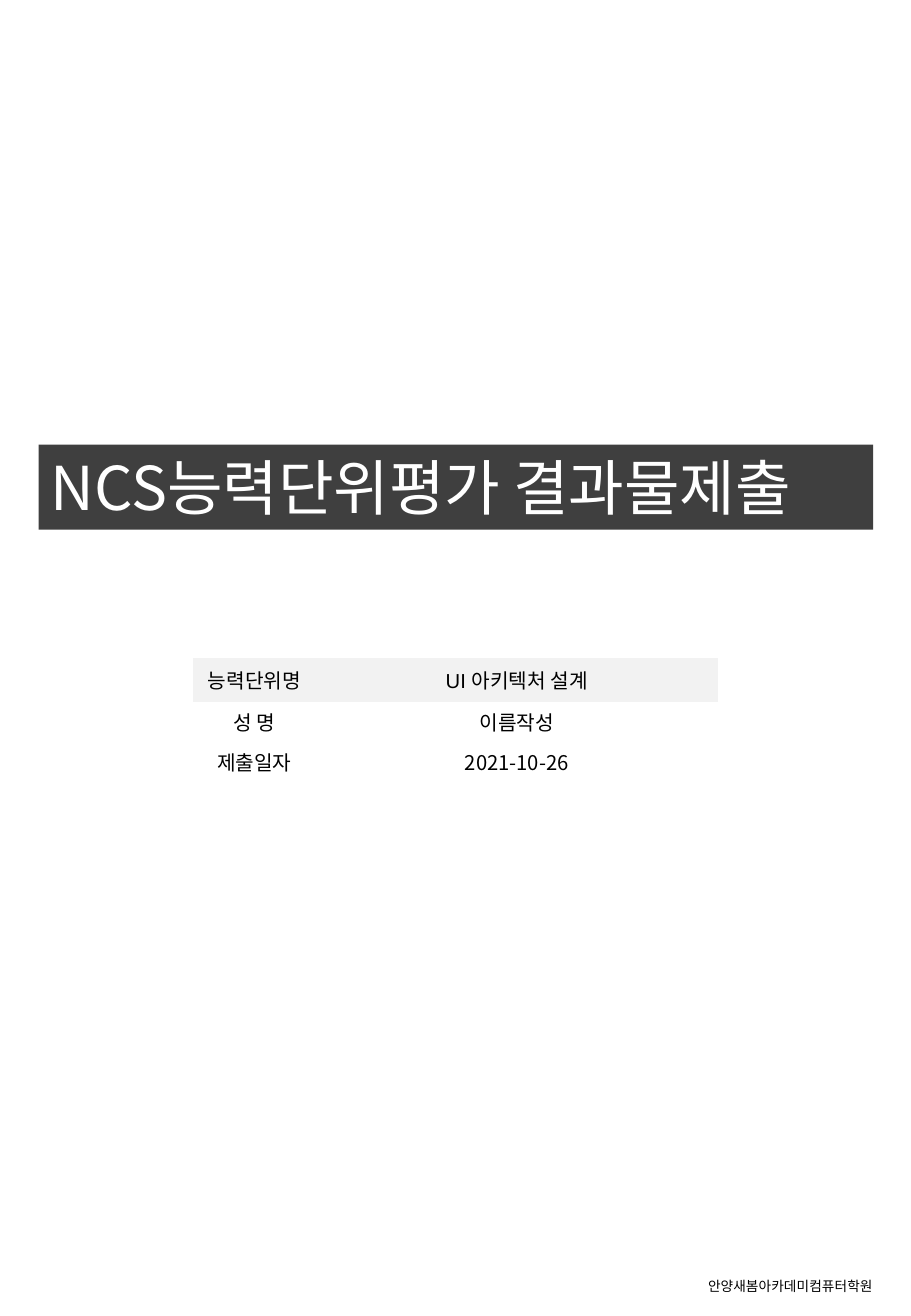
from dataclasses import dataclass

from lxml import etree
from pptx import Presentation
from pptx import util as u
from pptx.dml.color import RGBColor
from pptx.enum import shapes, text
from pptx.oxml import ns


@dataclass(frozen=True)
class Theme:
    ink: str = "000000"
    paper: str = "FFFFFF"
    banner: str = "3F3F3F"
    header: str = "F2F2F2"
    korean: str = "Noto Sans CJK KR"
    latin: str = "Arial"
    title_size: float = 35.8
    table_size: float = 12
    footer_size: float = 8.1


class Cover:
    def __init__(self, page, theme):
        self.page = page
        self.theme = theme

    def label(self, frame, words, size, color, font, align=text.PP_ALIGN.LEFT):
        frame.word_wrap = True
        para = frame.paragraphs[0]
        para.text = words
        para.alignment = align
        para.font.size = u.Pt(size)
        para.font.color.rgb = RGBColor.from_string(color)
        para.font.name = font
        properties = para._p.pPr.find(ns.qn("a:defRPr"))
        etree.SubElement(properties, ns.qn("a:ea"), typeface=self.theme.korean)

    def paint(self, item, color):
        item.fill.solid()
        item.fill.fore_color.rgb = RGBColor.from_string(color)

    def banner(self, words, *bounds):
        box = self.page.shapes.add_shape(
            shapes.MSO_SHAPE.RECTANGLE, *map(u.Pt, bounds))
        box.shadow.inherit = False
        box.line.fill.background()
        self.paint(box, self.theme.banner)
        box.text_frame.vertical_anchor = text.MSO_ANCHOR.TOP
        self.label(box.text_frame, words, self.theme.title_size,
                   self.theme.paper, self.theme.korean)

    def footer(self, words, *bounds):
        box = self.page.shapes.add_textbox(*map(u.Pt, bounds))
        self.label(box.text_frame, words, self.theme.footer_size,
                   self.theme.ink, self.theme.korean)

    def table(self, rows, left, top, widths, heights):
        bounds = left, top, sum(widths), sum(heights)
        table = self.page.shapes.add_table(
            len(rows), len(widths), *map(u.Pt, bounds)).table
        table.horz_banding = False
        style = table._tbl.tblPr.find(ns.qn("a:tableStyleId"))
        style.text = "{2D5ABB26-0587-4C30-8999-92F81FD0307C}"
        for column, width in zip(table.columns, widths):
            column.width = u.Pt(width)
        for index, (words, height) in enumerate(zip(rows, heights)):
            table.rows[index].height = u.Pt(height)
            for cell, entry in zip(table.rows[index].cells, words):
                self.cell(cell, entry, index == 0)

    def cell(self, cell, entry, is_header):
        cell.vertical_anchor = text.MSO_ANCHOR.MIDDLE
        cell.margin_left = cell.margin_right = u.Pt(5.8)
        cell.margin_top = cell.margin_bottom = u.Pt(2.9)
        if is_header:
            self.paint(cell, self.theme.header)
        else:
            cell.fill.background()
        font = self.theme.latin if is_header else self.theme.korean
        self.label(cell.text_frame, entry, self.theme.table_size,
                   self.theme.ink, font, text.PP_ALIGN.CENTER)


def main():
    deck = Presentation()
    deck.slide_width, deck.slide_height = u.Pt(540), u.Pt(780)
    cover = Cover(deck.slides.add_slide(deck.slide_layouts[6]), Theme())
    cover.footer("안양새봄아카데미컴퓨터학원", 412.6, 753.8, 121, 17.3)
    cover.banner("NCS능력단위평가 결과물제출", 23, 263.5, 494.6, 50.4)
    cover.table(
        [("능력단위명", "UI 아키텍처 설계"),
         ("성 명", "이름작성"),
         ("제출일자", "2021-10-26")],
        114.5, 390.2, widths=(72.7, 238.3), heights=(25.9, 23.8, 23.8))
    deck.save("out.pptx")


if __name__ == "__main__":
    main()
